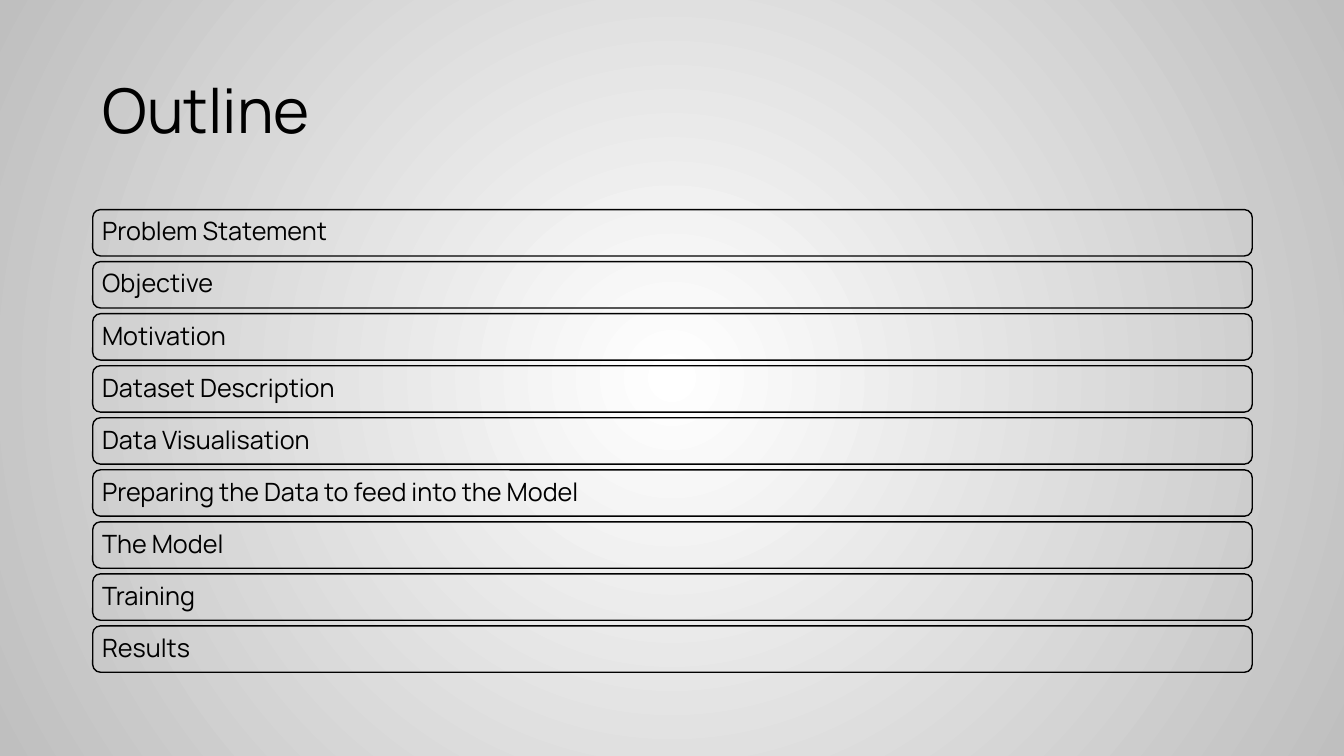
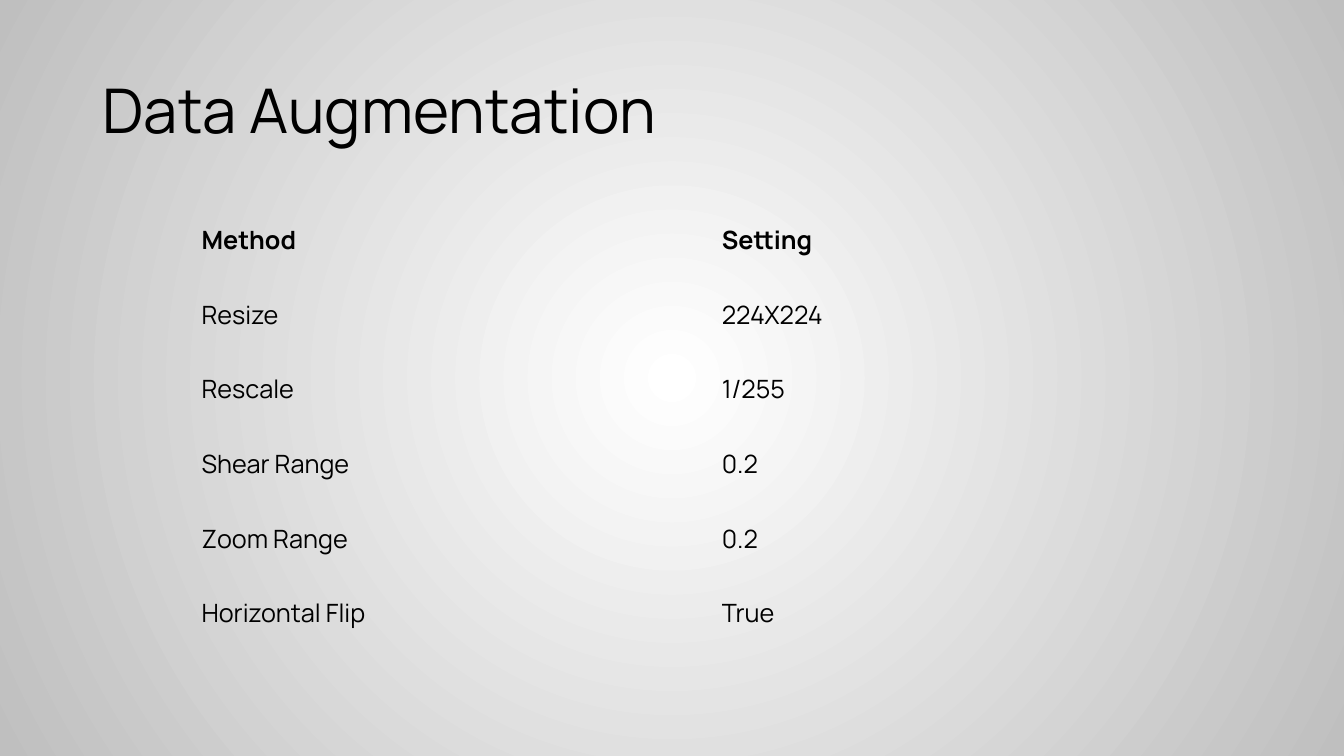
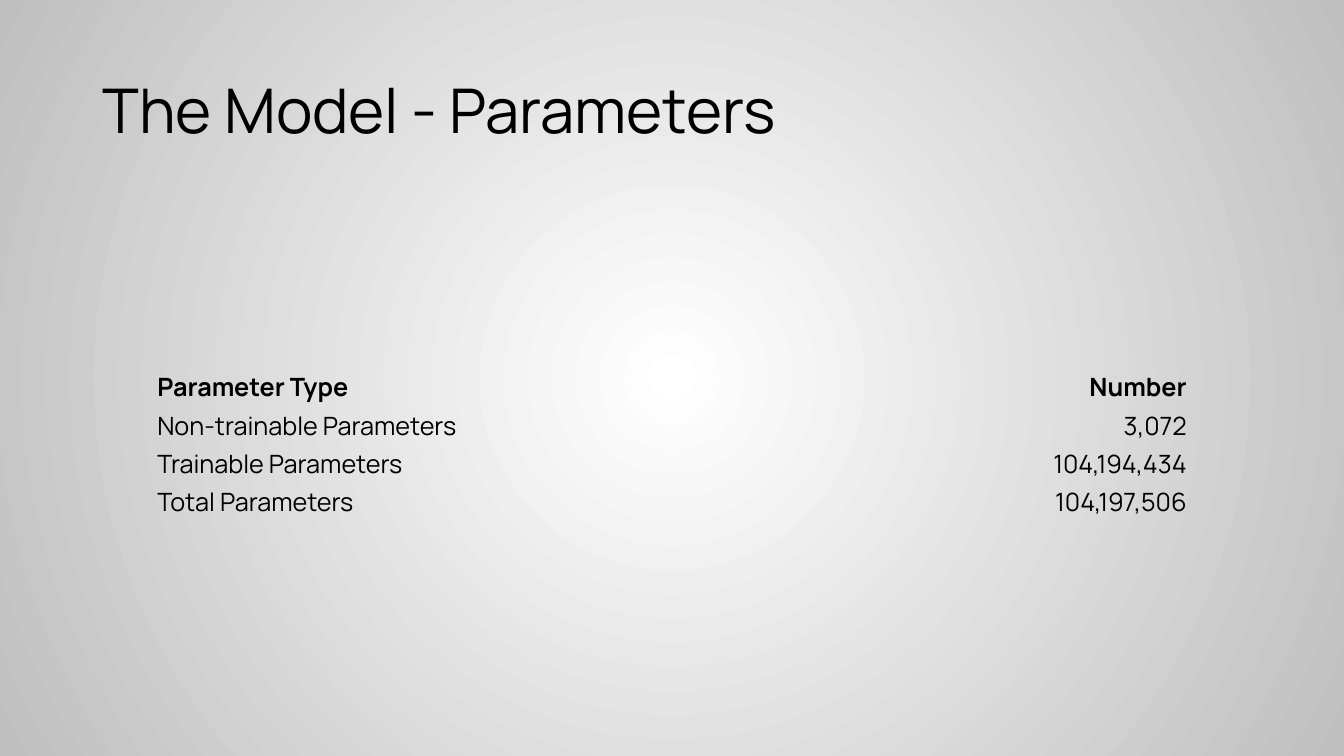
from dataclasses import dataclass
from typing import Any

from pptx import Presentation, oxml, slide as sl, util as u
from pptx.dml.color import RGBColor
from pptx.enum import shapes, text
from pptx.oxml import ns

LEFT, RIGHT = text.PP_ALIGN.LEFT, text.PP_ALIGN.RIGHT


@dataclass(frozen=True)
class Theme:
    ink: RGBColor = RGBColor(0x00, 0x00, 0x00)
    glow: RGBColor = RGBColor(0xFF, 0xFF, 0xFF)
    edge: RGBColor = RGBColor(0xBF, 0xBF, 0xBF)
    face: str = "Manrope"
    title_size: u.Pt = u.Pt(44)
    body_size: u.Pt = u.Pt(18)
    outline: u.Pt = u.Pt(1)
    plain_table: str = "{2D5ABB26-0587-4C30-8999-92F81FD0307C}"


@dataclass(frozen=True)
class Grid:
    title: str
    left: float
    top: float
    widths: tuple[float, ...]
    row_height: float
    side_margin: float
    alignments: tuple[Any, ...]
    rows: tuple[tuple[str, ...], ...]


THEME = Theme()
MARGIN, CONTENT_WIDTH = 0.92, 11.5
TOPICS_TOP, TOPICS_BOTTOM, TOPIC_HEIGHT = 2.08, 6.67, 0.46

TOPICS = (
    "Problem Statement",
    "Objective",
    "Motivation",
    "Dataset Description",
    "Data Visualisation",
    "Preparing the Data to feed into the Model",
    "The Model",
    "Training",
    "Results",
)

AUGMENTATION = Grid(
    "Data Augmentation", 1.93, 2.16, (5.16, 4.31), 0.74, 0.07, (LEFT, LEFT),
    (
        ("Method", "Setting"),
        ("Resize", "224X224"),
        ("Rescale", "1/255"),
        ("Shear Range", "0.2"),
        ("Zoom Range", "0.2"),
        ("Horizontal Flip", "True"),
    ),
)

PARAMETERS = Grid(
    "The Model - Parameters", 1.43, 3.62, (5.23, 5.24), 0.38, 0.13, (LEFT, RIGHT),
    (
        ("Parameter Type", "Number"),
        ("Non-trainable Parameters", "3,072"),
        ("Trainable Parameters", "104,194,434"),
        ("Total Parameters", "104,197,506"),
    ),
)


def apply(target: Any, values: dict[str, Any]) -> None:
    for name, value in values.items():
        setattr(target, name, value)


def write(frame: Any, wording: str, size: u.Pt, spacing: float,
          alignment: Any = LEFT, bold: bool = False) -> None:
    paragraph = frame.paragraphs[0]
    apply(paragraph, {"alignment": alignment, "line_spacing": spacing})
    run = paragraph.add_run()
    run.text = wording
    apply(run.font, {"name": THEME.face, "size": size, "bold": bold})
    run.font.color.rgb = THEME.ink


def set_background(master: sl.SlideMaster) -> None:
    """Give every slide a radial gradient that is lightest in the centre."""
    fill = master.background.fill
    fill.gradient()
    for stop, colour in zip(fill.gradient_stops, (THEME.glow, THEME.edge)):
        stop.color.rgb = colour
    gradient = master.element.find(".//" + ns.qn("p:bg")).find(".//" + ns.qn("a:gradFill"))
    linear = gradient.find(ns.qn("a:lin"))
    gradient.replace(linear, oxml.parse_xml(
        f'<a:path {ns.nsdecls("a")} path="circle">'
        '<a:fillToRect l="50000" t="50000" r="50000" b="50000"/></a:path>'))


def add_titled_slide(deck: Any, title: str) -> sl.Slide:
    slide = deck.slides.add_slide(deck.slide_layouts[6])
    frame = slide.shapes.add_textbox(
        u.Inches(MARGIN), u.Inches(0.4), u.Inches(CONTENT_WIDTH), u.Inches(1.45)).text_frame
    apply(frame, {"word_wrap": True, "vertical_anchor": text.MSO_ANCHOR.MIDDLE})
    write(frame, title, THEME.title_size, 0.9)
    return slide


def add_topic(slide: sl.Slide, topic: str, top: float) -> None:
    bar = slide.shapes.add_shape(
        shapes.MSO_SHAPE.ROUNDED_RECTANGLE, u.Inches(MARGIN), u.Inches(top),
        u.Inches(CONTENT_WIDTH), u.Inches(TOPIC_HEIGHT))
    bar.shadow.inherit = False
    bar.fill.background()
    bar.line.color.rgb = THEME.ink
    bar.line.width = THEME.outline
    inset = u.Inches(0.07)
    apply(bar.text_frame, {
        "word_wrap": True, "vertical_anchor": text.MSO_ANCHOR.MIDDLE,
        "margin_left": inset, "margin_top": inset,
        "margin_right": inset, "margin_bottom": inset})
    write(bar.text_frame, topic, THEME.body_size, 0.9)


def add_outline_slide(deck: Any) -> None:
    slide = add_titled_slide(deck, "Outline")
    pitch = (TOPICS_BOTTOM - TOPICS_TOP - TOPIC_HEIGHT) / (len(TOPICS) - 1)
    for index, topic in enumerate(TOPICS):
        add_topic(slide, topic, TOPICS_TOP + index * pitch)


def add_grid_slide(deck: Any, grid: Grid) -> None:
    slide = add_titled_slide(deck, grid.title)
    holder = slide.shapes.add_table(
        len(grid.rows), len(grid.widths), u.Inches(grid.left), u.Inches(grid.top),
        u.Inches(sum(grid.widths)), u.Inches(grid.row_height * len(grid.rows)))
    table = holder.table
    apply(table, {"first_row": False, "horz_banding": False})
    holder.element.find(".//" + ns.qn("a:tableStyleId")).text = THEME.plain_table
    for column, width in zip(table.columns, grid.widths):
        column.width = u.Inches(width)
    margins = {"margin_left": u.Inches(grid.side_margin),
               "margin_right": u.Inches(grid.side_margin),
               "margin_top": 0, "margin_bottom": 0}
    for row_index, entries in enumerate(grid.rows):
        table.rows[row_index].height = u.Inches(grid.row_height)
        for column_index, (entry, alignment) in enumerate(zip(entries, grid.alignments)):
            cell = table.cell(row_index, column_index)
            cell.fill.background()
            apply(cell, margins)
            write(cell.text_frame, entry, THEME.body_size, 1.15, alignment,
                  bold=row_index == 0)


def main() -> None:
    deck = Presentation()
    apply(deck, {"slide_width": u.Inches(13.33), "slide_height": u.Inches(7.5)})
    set_background(deck.slide_master)
    add_outline_slide(deck)
    for grid in (AUGMENTATION, PARAMETERS):
        add_grid_slide(deck, grid)
    deck.save("out.pptx")


if __name__ == "__main__":
    main()
